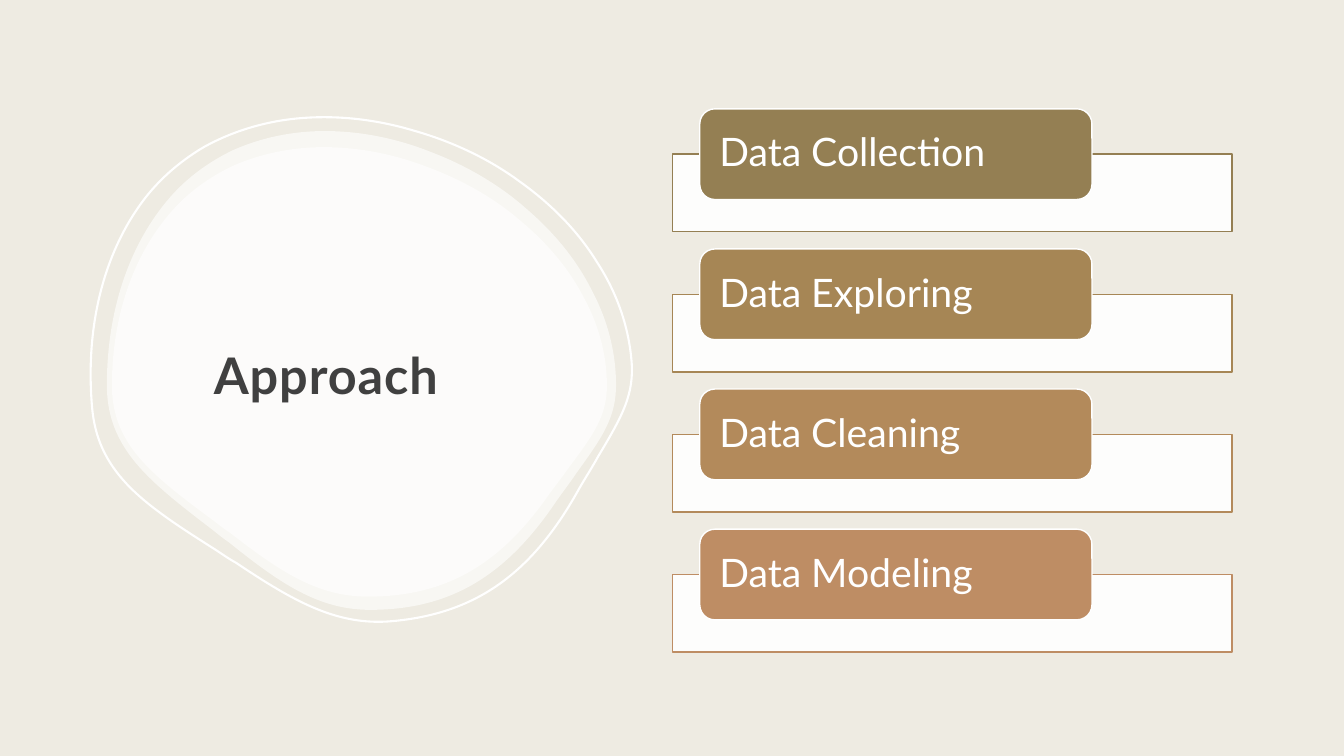
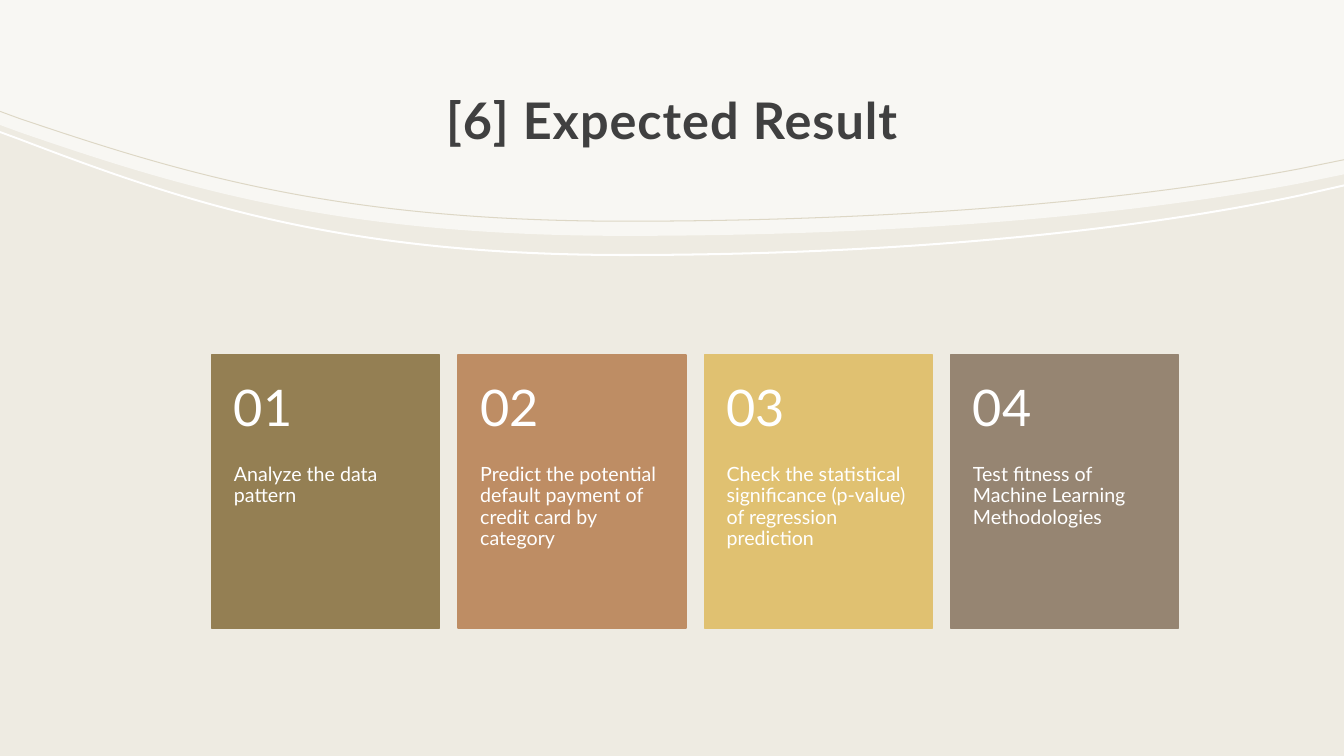
"""Build two slides: the approach steps and the expected results."""

from dataclasses import dataclass
from typing import NamedTuple

from lxml import etree
from pptx import Presentation
from pptx.dml.color import RGBColor
from pptx.enum.shapes import MSO_SHAPE
from pptx.enum.text import MSO_ANCHOR, MSO_AUTO_SIZE, PP_ALIGN
from pptx.oxml.ns import qn
from pptx.presentation import Presentation as Deck
from pptx.shapes.autoshape import Shape
from pptx.slide import Slide
from pptx.util import Inches, Pt

RECTANGLE = MSO_SHAPE.RECTANGLE
ROUNDED = MSO_SHAPE.ROUNDED_RECTANGLE
TOP, MIDDLE = MSO_ANCHOR.TOP, MSO_ANCHOR.MIDDLE
LEFT, CENTER = PP_ALIGN.LEFT, PP_ALIGN.CENTER
NO_AUTOFIT = MSO_AUTO_SIZE.NONE

Point = tuple[float, float]


class Frame(NamedTuple):
    """Position and size in inches."""

    left: float
    top: float
    width: float
    height: float


class Insets(NamedTuple):
    """Text margins in inches."""

    left: float = 0
    top: float = 0
    right: float = 0
    bottom: float = 0


@dataclass(frozen=True)
class Theme:
    """Colours, font and type sizes of the deck."""

    font: str = "Lato"
    canvas: str = "EEEBE2"
    white: str = "FFFFFF"
    ink: str = "404040"
    hairline: str = "DDD7C5"
    olive: str = "947F53"
    bronze: str = "A68655"
    tan: str = "B38A5B"
    copper: str = "BE8D64"
    gold: str = "E0C171"
    taupe: str = "968572"
    title_size: float = 36
    number_size: float = 36
    step_size: float = 28
    body_size: float = 14


THEME = Theme()


@dataclass(frozen=True)
class Step:
    """One labelled bar of the approach."""

    label: str
    color: str


@dataclass(frozen=True)
class Card:
    """One expected result."""

    text: str
    color: str


@dataclass(frozen=True)
class Blob:
    """One layer of the rounded backdrop."""

    frame: Frame
    fill: str | None = None
    line: str | None = None
    rotation: float = 0


@dataclass(frozen=True)
class Ribbon:
    """A thin wavy stripe, given by the heights of its upper edge."""

    heights: tuple[float, ...]
    thickness: float
    color: str


STEPS = (
    Step("Data Collection", THEME.olive),
    Step("Data Exploring", THEME.bronze),
    Step("Data Cleaning", THEME.tan),
    Step("Data Modeling", THEME.copper),
)
STEP_PITCH = 1.39

CARDS = (
    Card("Analyze the data pattern", THEME.olive),
    Card("Predict the potential default payment of credit card by category", THEME.copper),
    Card("Check the statistical significance (p-value) of regression prediction", THEME.gold),
    Card("Test fitness of Machine Learning Methodologies", THEME.taupe),
)
CARD_ROW = Frame(2.1, 3.52, 9.59, 2.71)
CARD_WIDTH = 2.26
NUMBER_HEIGHT = 1.09

BLOB_FRAME = Frame(1.06, 1.3, 5.05, 4.75)
BLOB_CURVE: tuple[Point, ...] = (
    (3.22, 1.3), (2.89, 1.3), (2.58, 1.37), (2.31, 1.49),
    (2.06, 1.61), (1.83, 1.78), (1.65, 2),
    (1.27, 2.46), (1.06, 3.1), (1.06, 3.82),
    (1.06, 4.1), (1.14, 4.33), (1.32, 4.56),
    (1.51, 4.8), (1.8, 5.02), (2.1, 5.25),
    (2.15, 5.29), (2.21, 5.34), (2.27, 5.38),
    (2.78, 5.79), (3.16, 6.05), (3.67, 6.05),
    (4.45, 6.05), (5.01, 5.73), (5.52, 4.97),
    (5.59, 4.87), (5.66, 4.78), (5.72, 4.69),
    (5.98, 4.33), (6.11, 4.14), (6.11, 3.82),
    (6.11, 3.5), (6.03, 3.18), (5.87, 2.88),
    (5.72, 2.58), (5.5, 2.31), (5.22, 2.07),
    (4.95, 1.83), (4.62, 1.64), (4.28, 1.51),
    (3.93, 1.37), (3.57, 1.3), (3.22, 1.3),
)
BLOB_PATTERN = "C" * (len(BLOB_CURVE) // 3)
BLOBS = (
    Blob(BLOB_FRAME, fill=THEME.white),
    Blob(Frame(1.11, 1.46, 4.91, 4.46), fill=THEME.white),
    Blob(Frame(0.89, 1.13, 5.37, 5.05), line=THEME.white, rotation=355),
)

WAVE_STATIONS = (0, 0.19, 1.79, 3.33, 6.2, 8.75, 11.09, 12.89, 13.33)
WAVE_PATTERN = "LCCL"
SHEET_HEIGHTS = (1.24, 1.31, 1.86, 2.34, 2.34, 2.34, 2.16, 1.82, 1.73)
RIBBONS = (
    Ribbon((1.3, 1.37, 1.98, 2.52, 2.52, 2.52, 2.31, 1.93, 1.83), 0.02, THEME.white),
    Ribbon((1.1, 1.17, 1.71, 2.19, 2.19, 2.19, 2.01, 1.67, 1.58), 0.01, THEME.hairline),
)


def paint(shape: Shape, *, fill: str | None = None, opacity: int = 100,
          line: str | None = None, weight: float = 1) -> None:
    """Set fill, opacity in percent and outline, without shadow."""
    shape.shadow.inherit = False
    if fill:
        shape.fill.solid()
        shape.fill.fore_color.rgb = RGBColor.from_string(fill)
        if opacity < 100:
            color = shape.element.spPr.find(qn("a:solidFill"))[0]
            etree.SubElement(color, qn("a:alpha")).set("val", str(opacity * 1000))
    else:
        shape.fill.background()
    if line:
        shape.line.color.rgb = RGBColor.from_string(line)
        shape.line.width = Pt(weight)
    else:
        shape.line.fill.background()


def place(shape: Shape, frame: Frame) -> None:
    """Move and size a shape."""
    shape.left, shape.top, shape.width, shape.height = map(Inches, frame)


def write(shape: Shape, text: str, *, size: float, color: str = THEME.white,
          bold: bool = False, anchor: MSO_ANCHOR = MIDDLE, align: PP_ALIGN = LEFT,
          insets: Insets = Insets(), line_spacing: float = 0.9,
          tracking: float = 0) -> None:
    """Write one formatted paragraph into a shape."""
    box = shape.text_frame
    box.word_wrap = True
    box.auto_size = NO_AUTOFIT
    box.vertical_anchor = anchor
    box.margin_left, box.margin_top, box.margin_right, box.margin_bottom = map(Inches, insets)
    para = box.paragraphs[0]
    para.alignment = align
    para.line_spacing = line_spacing
    span = para.add_run()
    span.text = text
    span.font.name = THEME.font
    span.font.size = Pt(size)
    span.font.bold = bold
    span.font.color.rgb = RGBColor.from_string(color)
    if tracking:
        for properties in shape.element.iter(qn("a:rPr")):
            properties.set("spc", str(round(tracking * 100)))


def add_box(page: Slide, kind: MSO_SHAPE, frame: Frame) -> Shape:
    """Add a preset shape."""
    return page.shapes.add_shape(kind, *map(Inches, frame))


def add_text(page: Slide, frame: Frame, text: str, *, size: float,
             anchor: MSO_ANCHOR, insets: Insets) -> None:
    """Add a text box."""
    box = page.shapes.add_textbox(*map(Inches, frame))
    write(box, text, size=size, anchor=anchor, insets=insets)


def add_outline(page: Slide, points: list[Point], pattern: str) -> Shape:
    """Add a closed freeform whose pattern names lines (L) and cubic curves (C)."""
    corners = [(Inches(x), Inches(y)) for x, y in points]
    builder = page.shapes.build_freeform(*corners[0])
    builder.add_line_segments(corners[1:], close=True)
    shape = builder.convert_to_shape()
    outline = next(shape.element.iter(qn("a:path")))
    lines = iter(outline.findall(qn("a:lnTo")))
    for kind in pattern:
        line = next(lines)
        if kind == "C":
            curve = etree.Element(qn("a:cubicBezTo"))
            line.addprevious(curve)
            for control in (line, next(lines), next(lines)):
                curve.append(control[0])
                outline.remove(control)
    return shape


def add_title(page: Slide, text: str, frame: Frame, align: PP_ALIGN) -> None:
    """Format the title placeholder and raise it above the backdrop."""
    title = page.shapes.title
    place(title, frame)
    write(title, text, size=THEME.title_size, color=THEME.ink, bold=True, align=align,
          insets=Insets(0.12, 0.12, 0.12, 0.1), line_spacing=1.05, tracking=0.7)
    title.element.getparent().append(title.element)


def add_blob(page: Slide, blob: Blob) -> None:
    """Fit the blob curve to a layer's frame and draw it."""
    across = blob.frame.width / BLOB_FRAME.width
    down = blob.frame.height / BLOB_FRAME.height
    points = [
        (blob.frame.left + (x - BLOB_FRAME.left) * across,
         blob.frame.top + (y - BLOB_FRAME.top) * down)
        for x, y in BLOB_CURVE
    ]
    shape = add_outline(page, points, BLOB_PATTERN)
    shape.rotation = blob.rotation
    paint(shape, fill=blob.fill, opacity=60, line=blob.line, weight=1.5)


def add_step(page: Slide, index: int, step: Step) -> None:
    """Draw one step: a pale bar with a coloured label."""
    shift = index * STEP_PITCH
    bar = add_box(page, RECTANGLE, Frame(6.67, 1.53 + shift, 5.55, 0.77))
    paint(bar, fill=THEME.white, opacity=90, line=step.color)
    label = add_box(page, ROUNDED, Frame(6.94, 1.08 + shift, 3.89, 0.9))
    paint(label, fill=step.color, line=THEME.white)
    write(label, step.label, size=THEME.step_size, insets=Insets(left=0.15, right=0.15))


def add_card(page: Slide, index: int, card: Card) -> None:
    """Draw one numbered card."""
    pitch = (CARD_ROW.width - CARD_WIDTH) / (len(CARDS) - 1)
    frame = CARD_ROW._replace(left=CARD_ROW.left + index * pitch, width=CARD_WIDTH)
    panel = add_box(page, RECTANGLE, frame)
    paint(panel, fill=card.color, line=card.color)
    body = frame._replace(top=frame.top + NUMBER_HEIGHT, height=frame.height - NUMBER_HEIGHT)
    add_text(page, body, card.text, size=THEME.body_size, anchor=TOP,
             insets=Insets(0.22, 0, 0.22, 0.36))
    add_text(page, frame._replace(height=NUMBER_HEIGHT), f"{index + 1:02}",
             size=THEME.number_size, anchor=MIDDLE, insets=Insets(0.22, 0.18, 0.22, 0.18))


def add_page(deck: Deck) -> Slide:
    """Add a slide with the title-only layout."""
    return deck.slides.add_slide(deck.slide_layouts.get_by_name("Title Only"))


def build_approach(deck: Deck) -> None:
    """Build the slide with the approach steps."""
    page = add_page(deck)
    for blob in BLOBS:
        add_blob(page, blob)
    add_title(page, "Approach", Frame(2, 2.08, 3.62, 3.21), LEFT)
    for index, step in enumerate(STEPS):
        add_step(page, index, step)


def build_results(deck: Deck) -> None:
    """Build the slide with the expected results."""
    page = add_page(deck)
    edge = zip(WAVE_STATIONS, SHEET_HEIGHTS)
    sheet = add_outline(page, [(0, 0), *edge, (WAVE_STATIONS[-1], 0)], f"L{WAVE_PATTERN}L")
    paint(sheet, fill=THEME.white, opacity=60)
    for ribbon in RIBBONS:
        upper = list(zip(WAVE_STATIONS, ribbon.heights))
        lower = [(x, y + ribbon.thickness) for x, y in reversed(upper)]
        stripe = add_outline(page, upper + lower, f"{WAVE_PATTERN}L{WAVE_PATTERN}")
        paint(stripe, fill=ribbon.color)
    add_title(page, "[6] Expected Result", Frame(1.33, 0.59, 10.67, 1.14), CENTER)
    for index, card in enumerate(CARDS):
        add_card(page, index, card)


def main() -> None:
    """Build and save the deck."""
    deck = Presentation()
    deck.slide_width, deck.slide_height = Inches(13.33), Inches(7.5)
    backdrop = deck.slide_master.background.fill
    backdrop.solid()
    backdrop.fore_color.rgb = RGBColor.from_string(THEME.canvas)
    build_approach(deck)
    build_results(deck)
    deck.save("out.pptx")


if __name__ == "__main__":
    main()
